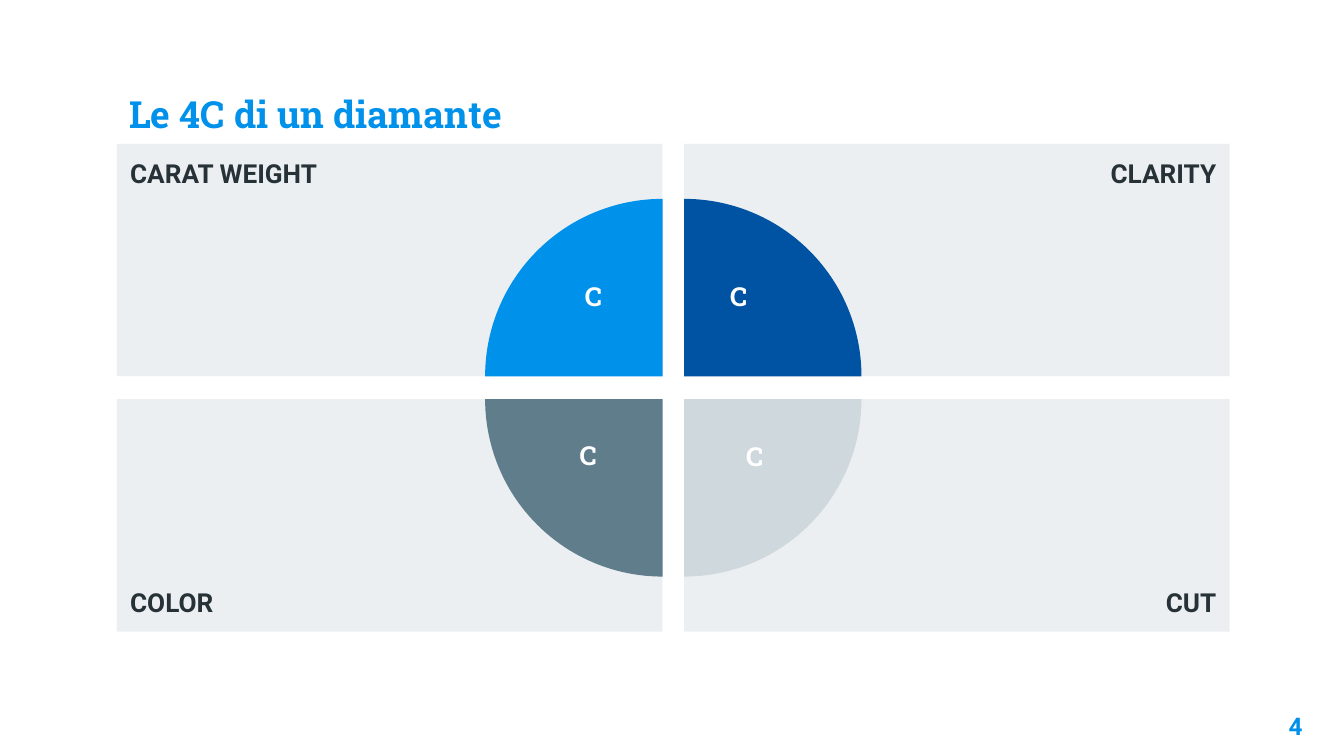
"""Builds the slide on the four Cs of a diamond."""
import pptx
import pptx.dml.color
import pptx.enum.shapes
import pptx.enum.text
import pptx.util

ALIGN = pptx.enum.text.PP_ALIGN
ANCHOR = pptx.enum.text.MSO_ANCHOR
SHAPE = pptx.enum.shapes.MSO_SHAPE
inches = pptx.util.Inches

HEADING = "Le 4C di un diamante"
PAGE = "4"
QUARTERS = [
    {"name": "CARAT WEIGHT", "col": 0, "row": 0, "turn": 0, "fill": "0091EA", "letter": (4.22, 2.04)},
    {"name": "CLARITY", "col": 1, "row": 0, "turn": 90, "fill": "0053A3", "letter": (5.3, 2.04)},
    {"name": "CUT", "col": 1, "row": 1, "turn": 180, "fill": "CFD8DC", "letter": (5.42, 3.23)},
    {"name": "COLOR", "col": 0, "row": 1, "turn": 270, "fill": "607D8B", "letter": (4.18, 3.22)},
]
LEFT, TOP = 0.87, 1.07
CARD_W, CARD_H = 4.06, 1.73
GAP_X, GAP_Y = 0.16, 0.17
RADIUS = 1.32


def color(hex_code):
    return pptx.dml.color.RGBColor.from_string(hex_code)


def write(shape, text, size, font, hex_code, align=ALIGN.LEFT, anchor=ANCHOR.TOP,
          insets=(0.1, 0.1, 0.1, 0.1)):
    frame = shape.text_frame
    frame.text = text
    frame.word_wrap = True
    frame.auto_size = pptx.enum.text.MSO_AUTO_SIZE.NONE
    frame.vertical_anchor = anchor
    (frame.margin_left, frame.margin_top,
     frame.margin_right, frame.margin_bottom) = map(inches, insets)
    line = frame.paragraphs[0]
    line.alignment = align
    line.font.size = pptx.util.Pt(size)
    line.font.name = font
    line.font.bold = True
    line.font.color.rgb = color(hex_code)


def add_plain(kind, box, hex_code):
    shape = slide.shapes.add_shape(kind, *map(inches, box))
    shape.shadow.inherit = False
    shape.fill.solid()
    shape.fill.fore_color.rgb = color(hex_code)
    shape.line.fill.background()
    return shape


deck = pptx.Presentation()
deck.slide_width = inches(10)
deck.slide_height = deck.slide_width * 9 // 16
slide = deck.slides.add_slide(deck.slide_layouts[5])

title = slide.shapes.title
title.left, title.top, title.width, title.height = map(inches, (0.86, 0.34, 8.28, 0.77))
write(title, HEADING, 20, "Roboto Slab", "0091EA", anchor=ANCHOR.BOTTOM)

page_number = slide.shapes.add_textbox(*map(inches, (9.19, 5.19, 0.6, 0.43)))
write(page_number, PAGE, 13, "Roboto", "0091EA", ALIGN.RIGHT)

for quarter in QUARTERS:
    col, row = quarter["col"], quarter["row"]
    card = add_plain(SHAPE.RECTANGLE, (LEFT + col * (CARD_W + GAP_X),
                                       TOP + row * (CARD_H + GAP_Y), CARD_W, CARD_H), "ECEFF1")
    write(card, quarter["name"], 14, "Roboto", "263238",
          (ALIGN.LEFT, ALIGN.RIGHT)[col], (ANCHOR.TOP, ANCHOR.BOTTOM)[row],
          ((0.1, 0.1, 1.5, 0.1), (1.5, 0.1, 0.1, 0.1))[col])

for quarter in QUARTERS:
    center_x = LEFT + CARD_W + quarter["col"] * GAP_X
    center_y = TOP + CARD_H + quarter["row"] * GAP_Y
    pie = add_plain(SHAPE.PIE, (center_x - RADIUS, center_y - RADIUS, 2 * RADIUS, 2 * RADIUS),
                    quarter["fill"])
    pie.adjustments[0], pie.adjustments[1] = 108, 162
    pie.rotation = quarter["turn"]

for quarter in QUARTERS:
    letter = slide.shapes.add_textbox(*map(inches, (*quarter["letter"], 0.39, 0.49)))
    write(letter, "C", 14, "Roboto Slab", "FFFFFF", ALIGN.CENTER, insets=(0.1, 0.05, 0.1, 0.05))

deck.save("out.pptx")
